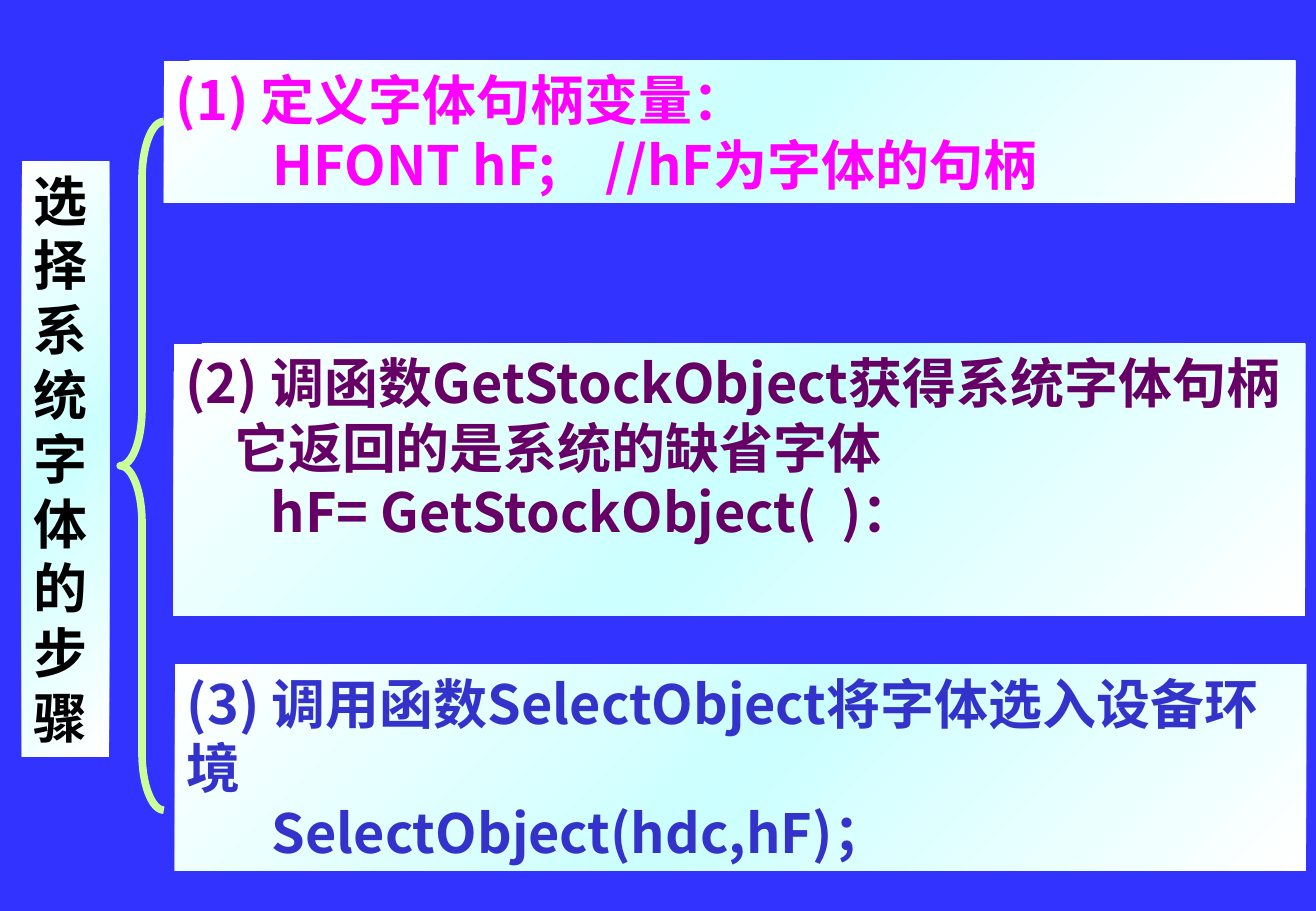
from copy import deepcopy
from dataclasses import dataclass

from pptx import Presentation
from pptx.dml.color import RGBColor
from pptx.enum.shapes import MSO_SHAPE
from pptx.enum.text import MSO_ANCHOR, PP_ALIGN
from pptx.oxml.ns import qn
from pptx.util import Inches, Pt
from lxml.etree import SubElement


@dataclass(frozen=True)
class Theme:
    background: str = "3333FF"
    panel_edge: str = "FFFFFF"
    panel_middle: str = "CCFFFF"
    brace: str = "CCFF99"
    label: str = "000000"
    define: str = "FF00FF"
    obtain: str = "660066"
    select: str = "3333CC"
    sans: str = "Noto Sans CJK SC"
    serif: str = "Times New Roman"
    text_size: float = 32
    line_pitch: float = 38.3
    brace_width: float = 4.5


THEME = Theme()
STEP_WIDTH = 9.32
STEPS = [
    (1.35, 0.5, 1.17, THEME.define, [
        (0, "(1) 定义字体句柄变量："),
        (0.8, "HFONT hF;    //hF为字体的句柄"),
    ]),
    (1.43, 2.83, 2.24, THEME.obtain, [
        (0, "(2) 调函数GetStockObject获得系统字体句柄"),
        (0.4, "它返回的是系统的缺省字体"),
        (0.7, "hF= GetStockObject(  )："),
    ]),
    (1.44, 5.47, 1.7, THEME.select, [
        (0, "(3) 调用函数SelectObject将字体选入设备环境"),
        (0.7, "SelectObject(hdc,hF)；"),
    ]),
]


def rgb(value):
    return RGBColor.from_string(value)


def fill_panel(panel):
    panel.fill.gradient()
    panel.fill.gradient_angle = 315
    stops = panel.fill.gradient_stops
    stop_list = panel._element.spPr.find(qn("a:gradFill")).find(qn("a:gsLst"))
    stop_list.append(deepcopy(stop_list[-1]))
    stops = panel.fill.gradient_stops
    colors = (THEME.panel_edge, THEME.panel_middle, THEME.panel_edge)
    for stop, position, color in zip(stops, (0, 0.5, 1), colors):
        stop.position = position
        stop.color.rgb = rgb(color)


def format_paragraph(para, indent, color, font_name):
    para.alignment = PP_ALIGN.LEFT
    para.line_spacing = Pt(THEME.line_pitch)
    properties = para._p.get_or_add_pPr()
    properties.set("marL", str(Inches(indent)))
    properties.set("indent", "0")
    font = para.font
    font.name = font_name
    font.size = Pt(THEME.text_size)
    font.bold = True
    font.color.rgb = rgb(color)
    east_asian = SubElement(properties.find(qn("a:defRPr")), qn("a:ea"))
    east_asian.set("typeface", THEME.sans)


def add_panel(page, left, top, width, height, color, font_name, lines):
    panel = page.shapes.add_shape(
        MSO_SHAPE.RECTANGLE, Inches(left), Inches(top), Inches(width), Inches(height))
    panel.shadow.inherit = False
    panel.line.fill.background()
    fill_panel(panel)
    frame = panel.text_frame
    frame.word_wrap = True
    frame.vertical_anchor = MSO_ANCHOR.TOP
    for index, (indent, text) in enumerate(lines):
        para = frame.add_paragraph() if index else frame.paragraphs[0]
        para.text = text
        format_paragraph(para, indent, color, font_name)


def add_brace(page, left, top, width, height):
    brace = page.shapes.add_shape(
        MSO_SHAPE.LEFT_BRACE, Inches(left), Inches(top), Inches(width), Inches(height))
    brace.shadow.inherit = False
    brace.adjustments[0] = 1.31
    brace.fill.background()
    brace.line.color.rgb = rgb(THEME.brace)
    brace.line.width = Pt(THEME.brace_width)


def main():
    deck = Presentation()
    deck.slide_width = Inches(10.84)
    deck.slide_height = Inches(7.5)
    page = deck.slides.add_slide(deck.slide_layouts[6])
    page.background.fill.solid()
    page.background.fill.fore_color.rgb = rgb(THEME.background)
    for left, top, height, color, lines in STEPS:
        add_panel(page, left, top, STEP_WIDTH, height, color, THEME.sans, lines)
    add_panel(page, 0.18, 1.33, 0.72, 4.9, THEME.label, THEME.serif,
              [(0, "选择系统字体的步骤")])
    add_brace(page, 0.99, 1, 0.36, 5.67)
    deck.save("out.pptx")


if __name__ == "__main__":
    main()
